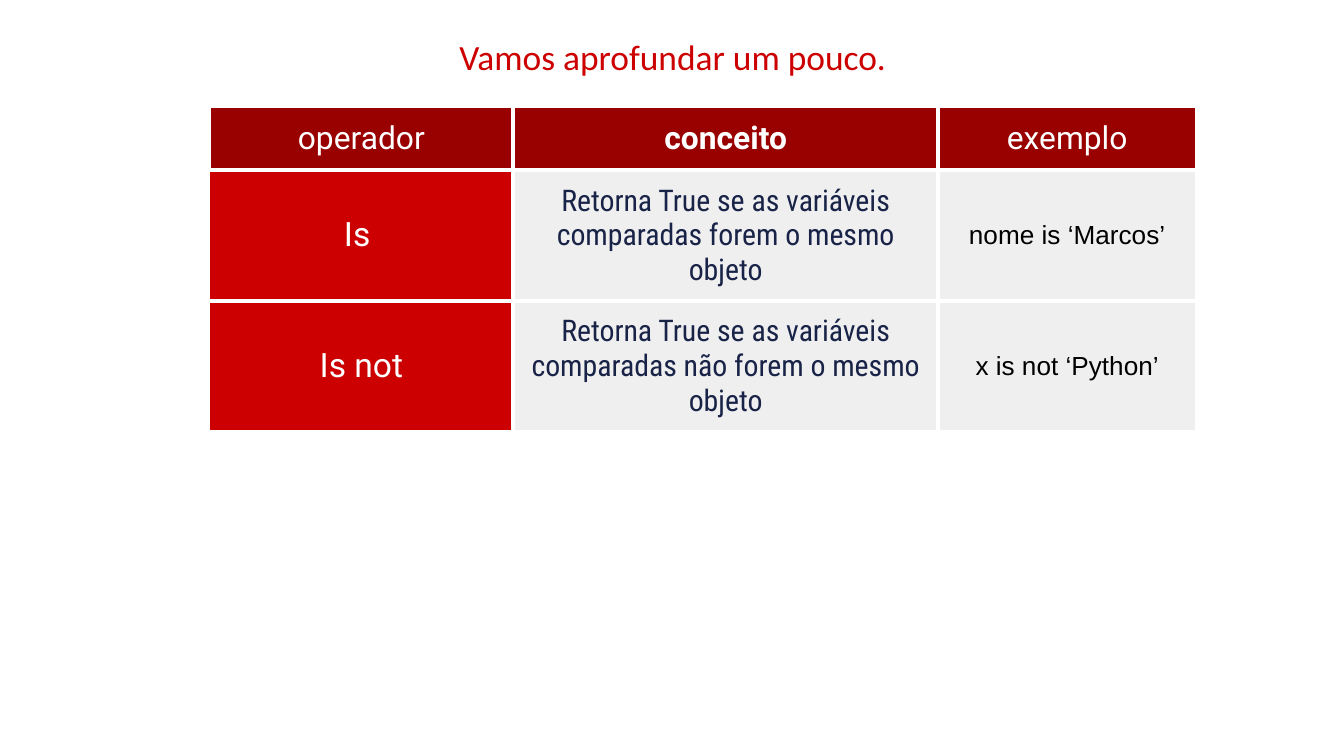
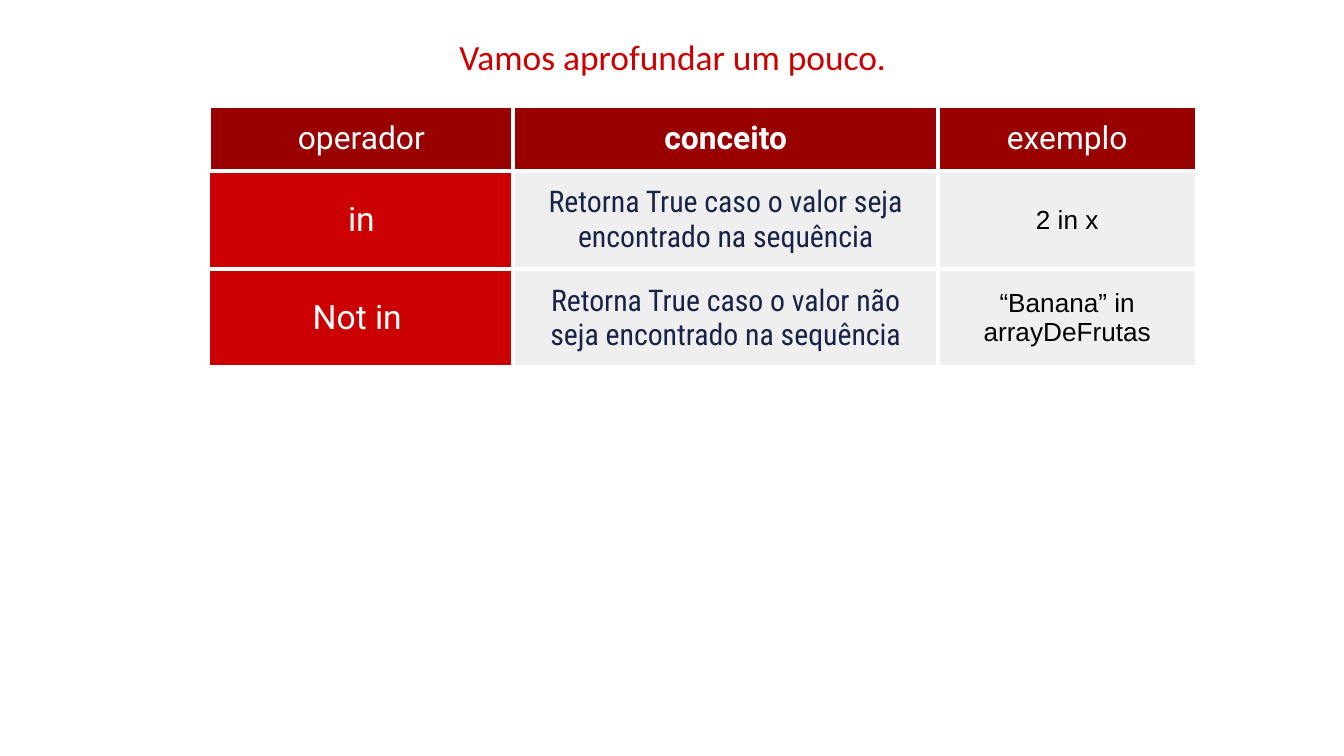
from dataclasses import dataclass

from lxml.etree import SubElement
from pptx import Presentation
from pptx.dml.color import RGBColor
from pptx.enum.text import MSO_VERTICAL_ANCHOR as Anchor, PP_PARAGRAPH_ALIGNMENT as Align
from pptx.oxml.ns import qn
from pptx.util import Cm, Pt


# Colours, text formats and measures shared by the slides
@dataclass(frozen=True)
class Theme:
    white: str = "FFFFFF"
    dark_red: str = "990000"
    red: str = "CC0000"
    grey: str = "EFEFEF"
    navy: str = "182347"
    black: str = "000000"
    border: float = 2.25
    margin: float = 0.25

    def text_format(self, role):
        name, size, color, bold = {
            "title": ("Calibri", 19, self.red, False),
            "header": ("Roboto", 17, self.white, False),
            "key header": ("Roboto", 17, self.white, True),
            "operator": ("Roboto", 18, self.white, False),
            "concept": ("Roboto Condensed", 16, self.navy, False),
            "example": ("Arial", 14, self.black, False),
        }[role]
        return {"name": name, "size": Pt(size), "bold": bold}, color


HEADERS = ("operador", "conceito", "exemplo")
HEADER_ROLES = ("header", "key header", "header")
BODY_ROLES = ("operator", "concept", "example")
COLUMN_WIDTHS = (5.74, 8.03, 4.88)
ROW_HEIGHTS = (1.07, 1.12, 1.65)
TITLE = "Vamos aprofundar um pouco."

OPERATOR_SLIDES = (
    (
        ("Is ", "Retorna True se as variáveis comparadas forem o mesmo objeto",
         "nome is ‘Marcos’"),
        ("Is not", "Retorna True se as variáveis comparadas não forem o mesmo objeto",
         "x is not ‘Python’"),
    ),
    (
        ("in", "Retorna True caso o valor seja encontrado na sequência",
         "2 in x"),
        ("Not in ", "Retorna True caso o valor não seja encontrado na sequência",
         "“Banana” in arrayDeFrutas"),
    ),
)


class Deck:
    def __init__(self, theme):
        self.theme = theme
        self.presentation = Presentation()
        self.presentation.slide_width = Cm(25.4)
        self.presentation.slide_height = Cm(14.29)
        self.slide = None

    def add_slide(self):
        self.slide = self.presentation.slides.add_slide(self.presentation.slide_layouts[6])
        self.slide.background.fill.solid()
        self.slide.background.fill.fore_color.rgb = RGBColor.from_string(self.theme.white)

    def set_margins(self, target):
        for side in ("left", "right", "top", "bottom"):
            setattr(target, f"margin_{side}", Cm(self.theme.margin))

    def add_text(self, text_frame, text, role):
        paragraph = text_frame.paragraphs[0]
        paragraph.alignment = Align.CENTER
        run = paragraph.add_run()
        run.text = text
        values, color = self.theme.text_format(role)
        for attribute, value in values.items():
            setattr(run.font, attribute, value)
        run.font.color.rgb = RGBColor.from_string(color)

    def add_title(self, text):
        box = self.slide.shapes.add_textbox(Cm(2.01), Cm(0.41), Cm(21.41), Cm(1.6))
        box.text_frame.word_wrap = True
        self.set_margins(box.text_frame)
        self.add_text(box.text_frame, text, "title")

    def set_borders(self, cell, open_left):
        properties = cell._tc.get_or_add_tcPr()
        for side in "LRTB":
            line = SubElement(properties, qn(f"a:ln{side}"), w=str(Pt(self.theme.border)))
            if side == "L" and open_left:
                SubElement(line, qn("a:noFill"))
            else:
                fill = SubElement(line, qn("a:solidFill"))
                SubElement(fill, qn("a:srgbClr"), val=self.theme.white)

    def fill_cell(self, cell, text, role, color, open_left):
        cell.vertical_anchor = Anchor.MIDDLE
        self.set_margins(cell)
        self.set_borders(cell, open_left)
        cell.fill.solid()
        cell.fill.fore_color.rgb = RGBColor.from_string(color)
        self.add_text(cell.text_frame, text, role)

    def add_operator_table(self, body):
        rows = (HEADERS, *body)
        table = self.slide.shapes.add_table(
            len(rows), len(HEADERS), Cm(3.96), Cm(2.01),
            Cm(sum(COLUMN_WIDTHS)), Cm(sum(ROW_HEIGHTS))).table
        table.first_row = table.horz_banding = False
        for column, width in zip(table.columns, COLUMN_WIDTHS):
            column.width = Cm(width)
        for row, height in zip(table.rows, ROW_HEIGHTS):
            row.height = Cm(height)

        theme = self.theme
        for i, texts in enumerate(rows):
            roles = BODY_ROLES if i else HEADER_ROLES
            colors = (theme.red, theme.grey, theme.grey) if i else (theme.dark_red,) * 3
            for j, (text, role, color) in enumerate(zip(texts, roles, colors)):
                self.fill_cell(table.cell(i, j), text, role, color, i > 0 and j == 0)


def main():
    deck = Deck(Theme())
    # One slide for each pair of operators
    for operators in OPERATOR_SLIDES:
        deck.add_slide()
        deck.add_operator_table(operators)
        deck.add_title(TITLE)
    deck.presentation.save("out.pptx")


if __name__ == "__main__":
    main()
